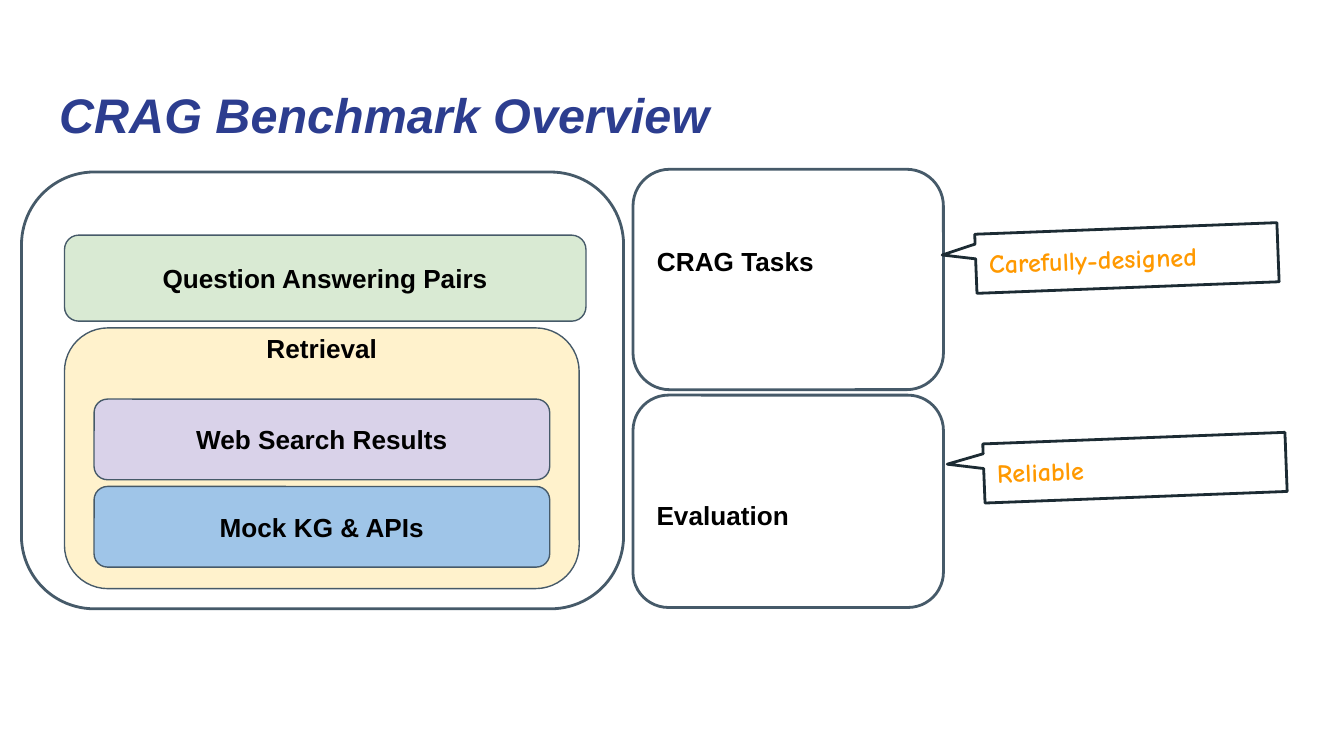
"""Builds the CRAG Benchmark Overview slide."""
from pptx import Presentation
from pptx.dml.color import RGBColor
from pptx.enum.shapes import MSO_SHAPE
from pptx.enum.text import MSO_ANCHOR, MSO_AUTO_SIZE, PP_ALIGN
from pptx.util import Inches, Pt

ROUNDED = MSO_SHAPE.ROUNDED_RECTANGLE
CALLOUT = MSO_SHAPE.ROUNDED_RECTANGULAR_CALLOUT
TOP, MIDDLE = MSO_ANCHOR.TOP, MSO_ANCHOR.MIDDLE
LEFT, CENTER = PP_ALIGN.LEFT, PP_ALIGN.CENTER
NO_AUTOFIT = MSO_AUTO_SIZE.NONE
SLATE, INK, BLACK, ORANGE, NAVY = "465A69", "1C2B33", "000000", "FF9900", "2C3D8F"
INSET, CORNER, TILT = 0.1, 1 / 6, -2.2

TITLE = ("CRAG Benchmark Overview", (0.34, 0.53, 6.31, 0.64))
DATA_FRAME = (0.16, 1.28, 4.48, 3.25)
DATA_BLOCKS = [
    ("Question Answering Pairs", (0.48, 1.75, 3.88, 0.64), "D9EAD3", {}),
    ("Retrieval", (0.48, 2.44, 3.83, 1.94), "FFF2CC", {"anchor": TOP, "top": -0.06}),
    ("Web Search Results", (0.7, 2.97, 3.39, 0.6), "D9D2E9", {}),
    ("Mock KG & APIs", (0.7, 3.62, 3.39, 0.6), "9FC5E8", {}),
]
STAGES = [
    ("CRAG Tasks", (4.71, 1.26, 2.31, 1.64), {"bottom": 0.37}),
    ("Evaluation", (4.71, 2.94, 2.31, 1.58), {"top": 0.3}),
]
CALLOUTS = [
    ("Carefully-designed", (7.26, 1.7, 2.25, 0.44), (-0.61, -0.17, 0)),
    ("Reliable", (7.32, 3.26, 2.25, 0.44), (-0.62, -0.18, 0)),
]


def color(code):
    return RGBColor.from_string(code)


def write(shape, text, ink, size=14, font="Arial", align=LEFT, anchor=MIDDLE,
          top=INSET, bottom=INSET, italic=False):
    frame = shape.text_frame
    frame.word_wrap, frame.auto_size = True, NO_AUTOFIT
    frame.vertical_anchor = anchor
    frame.margin_left = frame.margin_right = Inches(INSET)
    frame.margin_top, frame.margin_bottom = Inches(top), Inches(bottom)
    frame.text = text
    paragraph = frame.paragraphs[0]
    paragraph.alignment = align
    paragraph.font.name, paragraph.font.size = font, Pt(size)
    paragraph.font.bold, paragraph.font.italic = True, italic
    paragraph.font.color.rgb = color(ink)


def add_box(slide, kind, place, adjustments, line, width, fill=None):
    box = slide.shapes.add_shape(kind, *map(Inches, place))
    box.shadow.inherit = False
    for index, value in enumerate(adjustments):
        box.adjustments[index] = value
    if fill:
        box.fill.solid()
        box.fill.fore_color.rgb = color(fill)
    else:
        box.fill.background()
    box.line.color.rgb, box.line.width = color(line), Pt(width)
    return box


def main():
    deck = Presentation()
    deck.slide_width = Inches(10)
    deck.slide_height = deck.slide_width * 9 // 16
    slide = deck.slides.add_slide(deck.slide_layouts[5])

    text, place = TITLE
    title = slide.shapes.title
    title.left, title.top, title.width, title.height = map(Inches, place)
    write(title, text, NAVY, size=26, anchor=TOP, italic=True)

    add_box(slide, ROUNDED, DATA_FRAME, [CORNER], SLATE, 1.5)
    for text, place, fill, layout in DATA_BLOCKS:
        block = add_box(slide, ROUNDED, place, [CORNER], SLATE, 0.75, fill)
        write(block, text, BLACK, align=CENTER, **layout)
    for text, place, layout in STAGES:
        stage = add_box(slide, ROUNDED, place, [CORNER], SLATE, 1.5)
        write(stage, text, BLACK, **layout)
    for text, place, pointer in CALLOUTS:
        callout = add_box(slide, CALLOUT, place, pointer, INK, 1.5)
        callout.rotation = TILT
        write(callout, text, ORANGE, font="Comic Neue")

    deck.save("out.pptx")


if __name__ == "__main__":
    main()
